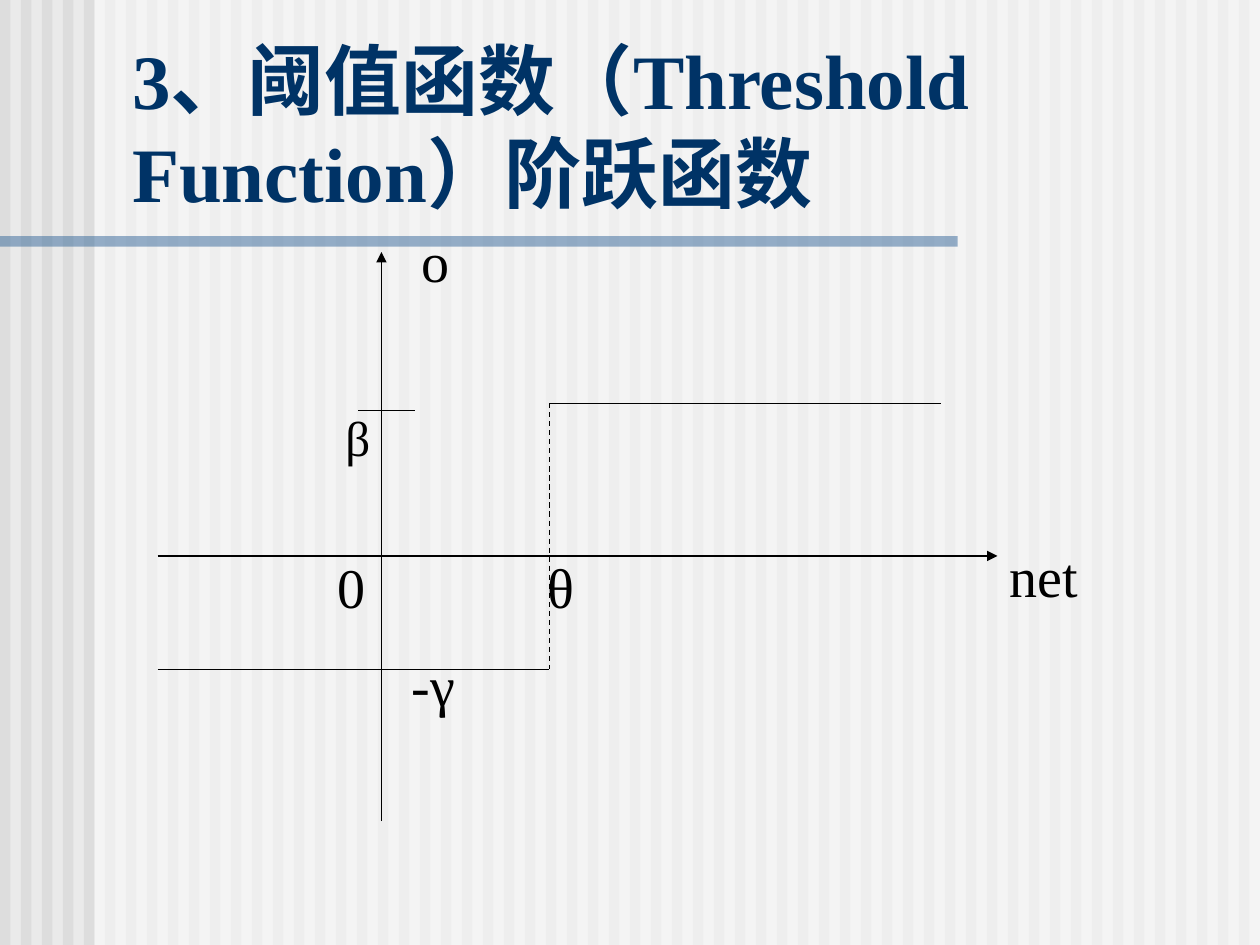
import pptx
import pptx.util
import pptx.dml.color
import pptx.enum.dml
import pptx.enum.shapes
import pptx.enum.text
import pptx.oxml
import pptx.oxml.ns

RGB = pptx.dml.color.RGBColor
BACKGROUND = RGB(0xEA, 0xEA, 0xEA)
STRIPE = RGB(0xDD, 0xDD, 0xDD)
VEIL = RGB(0xFF, 0xFF, 0xFF)
RULE = RGB(0x33, 0x66, 0x99)
TITLE = RGB(0x00, 0x33, 0x66)
INK = RGB(0x00, 0x00, 0x00)
FONT = "Times New Roman"

# The slide is a grid of 120 columns by 90 rows, each cell 1/12 inch.
COLUMNS, ROWS = 120, 90


def cells(count):
    return pptx.util.Inches(count / 12)


def add_xml(parent, tag, **attributes):
    child = pptx.oxml.parse_xml(f"<a:{tag} {pptx.oxml.ns.nsdecls('a')}/>")
    for key, value in attributes.items():
        child.set(key, value)
    parent.append(child)


def add_band(slide, box, color, alpha=None):
    """Plain borderless rectangle, with alpha in percent."""
    band = slide.shapes.add_shape(
        pptx.enum.shapes.MSO_SHAPE.RECTANGLE, *map(cells, box))
    band.shadow.inherit = False
    band.fill.solid()
    band.fill.fore_color.rgb = color
    band.line.fill.background()
    if alpha is not None:
        fill_color = band.fill._xPr.find(".//" + pptx.oxml.ns.qn("a:srgbClr"))
        add_xml(fill_color, "alpha", val=str(alpha * 1000))


def add_text(slide, box, words, size, color=INK, bold=False, spacing=None,
             anchor=pptx.enum.text.MSO_ANCHOR.TOP):
    frame = slide.shapes.add_textbox(*map(cells, box)).text_frame
    frame.word_wrap = True
    frame.vertical_anchor = anchor
    paragraph = frame.paragraphs[0]
    paragraph.line_spacing = spacing
    run = paragraph.add_run()
    run.text = words
    run.font.name = FONT
    run.font.size = pptx.util.Pt(size)
    run.font.bold = bold
    run.font.color.rgb = color


def add_line(slide, start, end, arrow=False, dashed=False):
    connector = slide.shapes.add_connector(
        pptx.enum.shapes.MSO_CONNECTOR.STRAIGHT, *map(cells, (*start, *end)))
    connector.line.color.rgb = INK
    connector.line.width = pptx.util.Pt(0.75)
    if dashed:
        connector.line.dash_style = pptx.enum.dml.MSO_LINE.DASH
    if arrow:
        add_xml(connector.line._get_or_add_ln(), "tailEnd", type="triangle")
    add_xml(connector._element.spPr, "effectLst")


def draw_backdrop(slide, box):
    """Even stripes, veiled everywhere but in the left margin."""
    left, top, width, height = box
    slide.background.fill.solid()
    slide.background.fill.fore_color.rgb = BACKGROUND
    for column in range(0, width, 2):
        add_band(slide, (left + column, top, 1, height), STRIPE)
    margin = 9
    add_band(slide, (left + margin, top, width - margin, height), VEIL, 50)


def draw_heading(slide, box):
    """Title above a rule that starts at the slide's left edge."""
    left, top, width, height = box
    add_band(slide, (0, top + height + 1.2, 91.2, 1), RULE, 50)
    add_text(slide, box, "3、阈值函数（Threshold Function）阶跃函数", 44, TITLE,
             bold=True, anchor=pptx.enum.text.MSO_ANCHOR.BOTTOM)


def draw_threshold_plot(slide, box):
    left, top, width, height = box
    origin_x, origin_y = 21.33, 28.95
    threshold, upper, lower = 37.33, 14.4, 39.75
    tick = 15.1

    def at(x, y):
        return left + x, top + y

    # Axes
    add_line(slide, at(0, origin_y), at(width, origin_y), arrow=True)
    add_line(slide, at(origin_x, height), at(origin_x, 0), arrow=True)
    # Step function
    add_line(slide, at(0, lower), at(threshold, lower))
    add_line(slide, at(threshold, upper), at(2 * threshold, upper))
    add_line(slide, at(threshold, upper), at(threshold, lower), dashed=True)
    add_line(slide, at(19.1, tick), at(24.5, tick))

    add_text(slide, (*at(16.7, 14.9), 6.8, 7.4), "β", 28, spacing=0.9)
    labels = [("-γ", 23, 37.4, 10), ("θ", 36, 28, 11), ("o", 24, -3, 5),
              ("net", width, 27, 13), ("0", 16, 28, 5)]
    for words, x, y, label_width in labels:
        add_text(slide, (*at(x, y), label_width, 7.7), words, 32)


def main():
    deck = pptx.Presentation()
    deck.slide_width, deck.slide_height = cells(COLUMNS), cells(ROWS)
    slide = deck.slides.add_slide(deck.slide_layouts[6])
    draw_backdrop(slide, (0, 0, COLUMNS, ROWS))
    draw_heading(slide, (11.4, 2.5, 107.2, 18.8))
    draw_threshold_plot(slide, (15, 24, 80, 54.2))
    deck.save("out.pptx")


if __name__ == "__main__":
    main()
